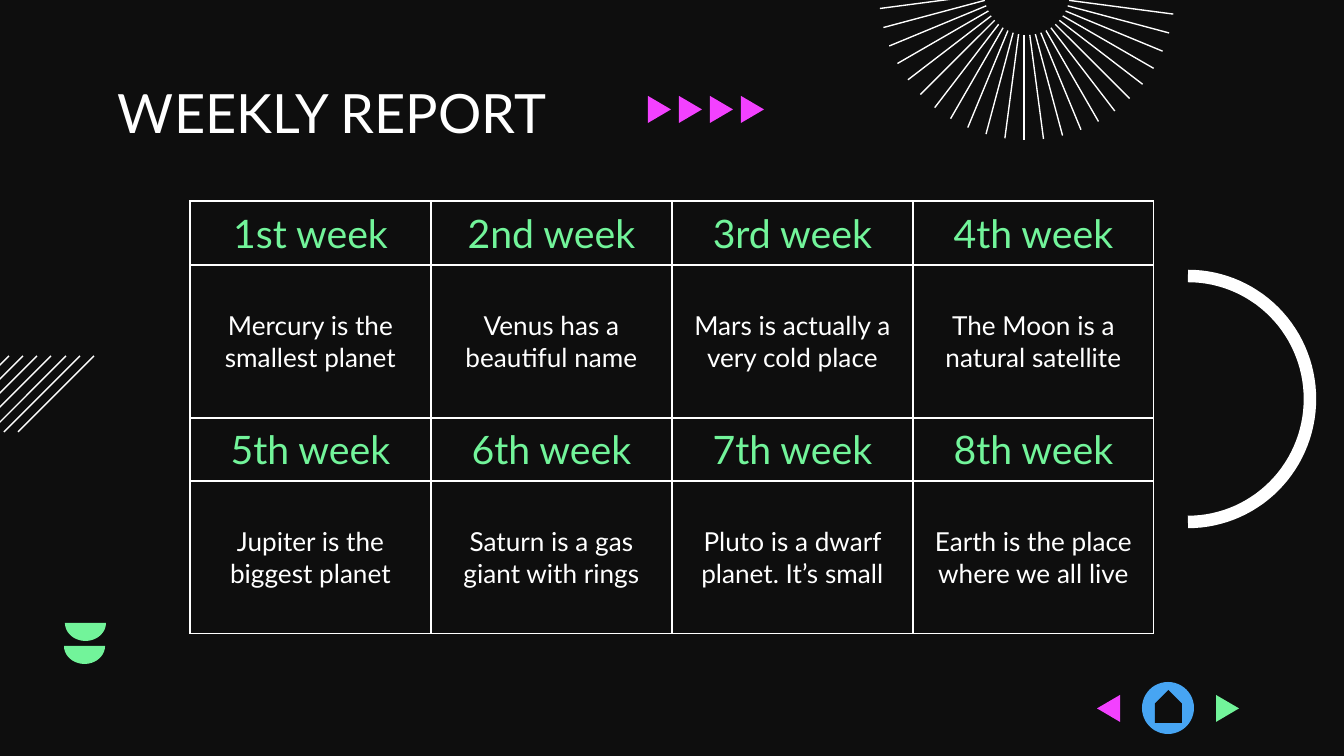
from dataclasses import dataclass
from math import cos, radians, sin
from typing import NamedTuple

from lxml import etree
from pptx import Presentation
from pptx import util as u
from pptx.dml.color import RGBColor
from pptx.enum import shapes, text
from pptx.oxml.ns import qn

EMU_PER_PX = 914400 / 134.4
SLIDE_W, SLIDE_H = 1344, 756


@dataclass(frozen=True)
class Theme:
    background: str = "0E0E0E"
    white: str = "FFFFFF"
    green: str = "72F49A"
    pink: str = "F341FF"
    blue: str = "47A5F3"
    font: str = "Lato"
    title_pt: int = 29
    week_pt: int = 21
    body_pt: int = 14
    line_pt: float = 0.75
    arc_pt: float = 6.69


class Week(NamedTuple):
    name: str
    fact: str


class Arrow(NamedTuple):
    left: int
    top: int
    color: str
    points_left: bool = False


class HalfDisc(NamedTuple):
    left: int
    top: int


THEME = Theme()
COLUMNS = 4
WEEKS = [
    Week("1st week", "Mercury is the smallest planet"),
    Week("2nd week", "Venus has a beautiful name"),
    Week("3rd week", "Mars is actually a very cold place"),
    Week("4th week", "The Moon is a natural satellite"),
    Week("5th week", "Jupiter is the biggest planet"),
    Week("6th week", "Saturn is a gas giant with rings"),
    Week("7th week", "Pluto is a dwarf planet. It’s small"),
    Week("8th week", "Earth is the place where we all live"),
]
TITLE_ARROWS = [Arrow(648 + 31 * i, 96, THEME.pink) for i in range(4)]
NAV_ARROWS = [Arrow(1097, 695, THEME.pink, True), Arrow(1216, 695, THEME.green)]
HALF_DISCS = [HalfDisc(64, 646), HalfDisc(65, 623)]


def px(length: float) -> u.Emu:
    return u.Emu(round(length * EMU_PER_PX))


def rgb(color: str) -> RGBColor:
    return RGBColor.from_string(color)


def apply(target, values: dict) -> None:
    for name, value in values.items():
        setattr(target, name, value)


def format_font(font, size: int, color: str) -> None:
    apply(font, {"name": THEME.font, "size": u.Pt(size), "bold": False})
    font.color.rgb = rgb(color)


def paint(shape, color: str) -> None:
    shape.shadow.inherit = False
    shape.fill.solid()
    shape.fill.fore_color.rgb = rgb(color)
    shape.line.fill.background()


def add_outline(slide, points: list, close: bool = True):
    """Freeform through points given in px."""
    start, *rest = [(px(x), px(y)) for x, y in points]
    builder = slide.shapes.build_freeform(*start, scale=1.0)
    builder.add_line_segments(rest, close=close)
    return builder.convert_to_shape()


def arc_points(cx: float, cy: float, rx: float, ry: float, start: int, end: int) -> list:
    return [(cx + rx * cos(radians(a)), cy + ry * sin(radians(a)))
            for a in range(start, end + 1, 3)]


def add_line(slide, x1: float, y1: float, x2: float, y2: float) -> None:
    line = slide.shapes.add_connector(
        shapes.MSO_CONNECTOR.STRAIGHT, px(x1), px(y1), px(x2), px(y2))
    line.line.width = u.Pt(THEME.line_pt)
    line.line.color.rgb = rgb(THEME.white)
    etree.SubElement(line._element.spPr, qn("a:effectLst"))


def add_arrow(slide, arrow: Arrow, width: int = 23, height: int = 27) -> None:
    base, tip = arrow.left, arrow.left + width
    if arrow.points_left:
        base, tip = tip, base
    points = [(base, arrow.top), (tip, arrow.top + height / 2), (base, arrow.top + height)]
    paint(add_outline(slide, points), arrow.color)


def add_half_disc(slide, disc: HalfDisc, width: int = 41, height: int = 18) -> None:
    radius = width / 2
    points = arc_points(disc.left + radius, disc.top, radius, height, 0, 180)
    paint(add_outline(slide, points), THEME.green)


def add_sunburst(slide, cx: int, cy: int, radius: int, length: int) -> None:
    # Each ray starts half a step round the ring from its own direction
    step = 7.5
    for ray in range(-11, 12):
        direction, place = radians(ray * step), radians((ray - 0.5) * step)
        x, y = cx + radius * sin(place), cy + radius * cos(place)
        add_line(slide, x, y, x + length * sin(direction), y + length * cos(direction))


def border_cell(cell) -> None:
    properties = cell._tc.get_or_add_tcPr()
    for side in ("a:lnL", "a:lnR", "a:lnT", "a:lnB"):
        edge = etree.SubElement(properties, qn(side), w=str(u.Pt(THEME.line_pt)))
        fill = etree.SubElement(edge, qn("a:solidFill"))
        etree.SubElement(fill, qn("a:srgbClr"), val=THEME.white)


def fill_cell(cell, wording: str, size: int, color: str, side_margin: int) -> None:
    border_cell(cell)
    cell.fill.background()
    apply(cell, {"margin_left": px(side_margin), "margin_right": px(side_margin),
                 "margin_top": 0, "margin_bottom": 0,
                 "vertical_anchor": text.MSO_ANCHOR.MIDDLE})
    paragraph = cell.text_frame.paragraphs[0]
    paragraph.alignment = text.PP_ALIGN.CENTER
    run = paragraph.add_run()
    run.text = wording
    format_font(run.font, size, color)


def add_schedule(slide, left: int, top: int, column_width: int, row_heights: list) -> None:
    schedule = slide.shapes.add_table(
        len(row_heights), COLUMNS, px(left), px(top),
        px(column_width * COLUMNS), px(sum(row_heights))).table
    apply(schedule, {"first_row": False, "horz_banding": False})
    for column in schedule.columns:
        column.width = px(column_width)
    for row, height in zip(schedule.rows, row_heights):
        row.height = px(height)
    for index, week in enumerate(WEEKS):
        block, column = divmod(index, COLUMNS)
        fill_cell(schedule.cell(2 * block, column), week.name,
                  THEME.week_pt, THEME.green, 0)
        fill_cell(schedule.cell(2 * block + 1, column), week.fact,
                  THEME.body_pt, THEME.white, 11)


def set_title(slide, wording: str) -> None:
    title = slide.shapes.title
    apply(title, {"left": px(105), "top": px(79), "width": px(1134), "height": px(62)})
    frame = title.text_frame
    apply(frame, {"margin_left": px(13), "margin_right": px(13), "margin_top": 0,
                  "margin_bottom": px(13), "word_wrap": True,
                  "auto_size": text.MSO_AUTO_SIZE.NONE,
                  "vertical_anchor": text.MSO_ANCHOR.TOP})
    paragraph = frame.paragraphs[0]
    apply(paragraph, {"alignment": text.PP_ALIGN.LEFT, "line_spacing": 1.0})
    run = paragraph.add_run()
    run.text = wording
    format_font(run.font, THEME.title_pt, THEME.white)


def main() -> None:
    deck = Presentation()
    apply(deck, {"slide_width": px(SLIDE_W), "slide_height": px(SLIDE_H)})
    slide = deck.slides.add_slide(deck.slide_layouts[5])
    slide.background.fill.solid()
    slide.background.fill.fore_color.rgb = rgb(THEME.background)

    # Left-hand decoration
    for disc in HALF_DISCS:
        add_half_disc(slide, disc)
    for stripe in range(7):
        x = 94 - round(14.2 * stripe)
        add_line(slide, x, 356, x - 76, 432)

    # Title and table
    set_title(slide, "WEEKLY REPORT")
    add_schedule(slide, 190, 201, 241, [64, 153, 63, 153])

    # Right-hand decoration
    for arrow in TITLE_ARROWS:
        add_arrow(slide, arrow)
    add_sunburst(slide, 1027, -8, 43, 105)
    arc = add_outline(slide, arc_points(1188, 399, 122, 123, -90, 90), close=False)
    arc.shadow.inherit = False
    arc.fill.background()
    arc.line.width = u.Pt(THEME.arc_pt)
    arc.line.color.rgb = rgb(THEME.white)

    # Navigation
    disc = slide.shapes.add_shape(
        shapes.MSO_SHAPE.OVAL, px(1142), px(682), px(52), px(52))
    paint(disc, THEME.blue)
    house = slide.shapes.add_shape(
        shapes.MSO_SHAPE.PENTAGON, px(1152), px(693), px(33), px(27))
    house.rotation = 270
    paint(house, THEME.background)
    for arrow in NAV_ARROWS:
        add_arrow(slide, arrow)

    deck.save("out.pptx")


if __name__ == "__main__":
    main()
